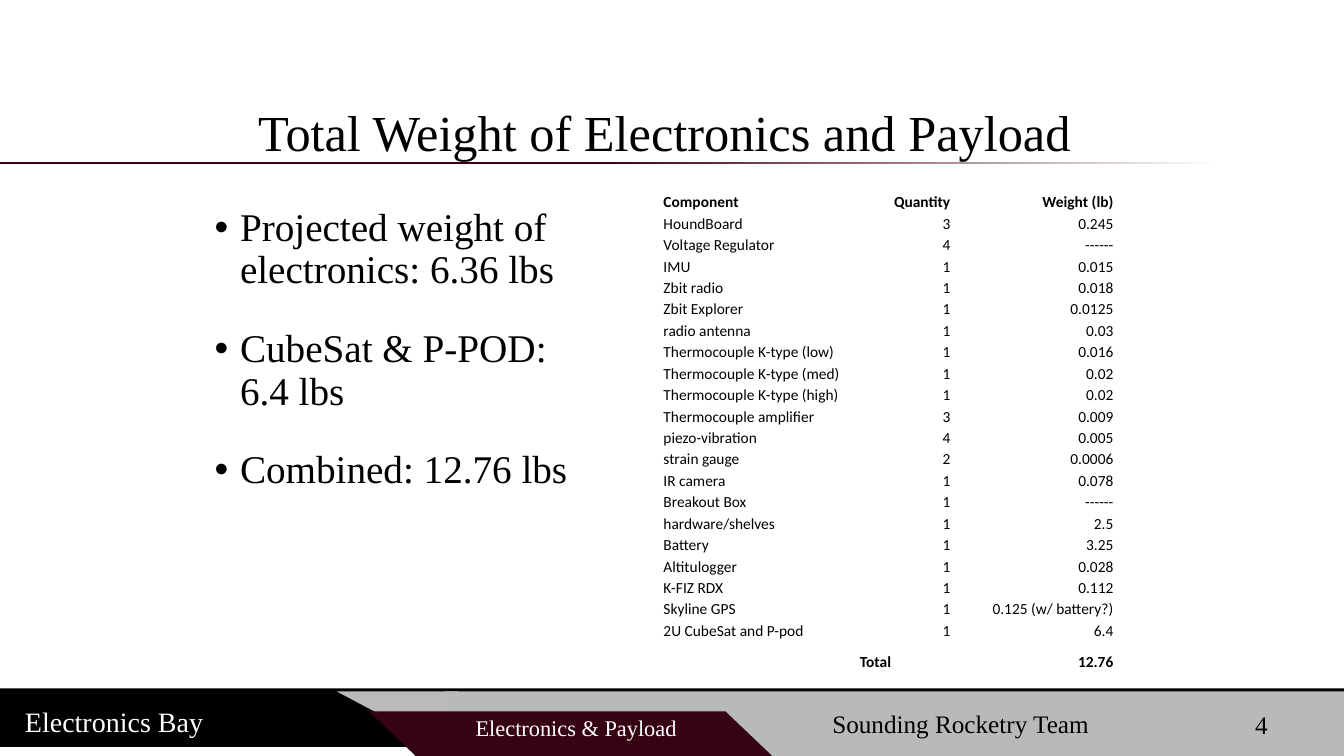
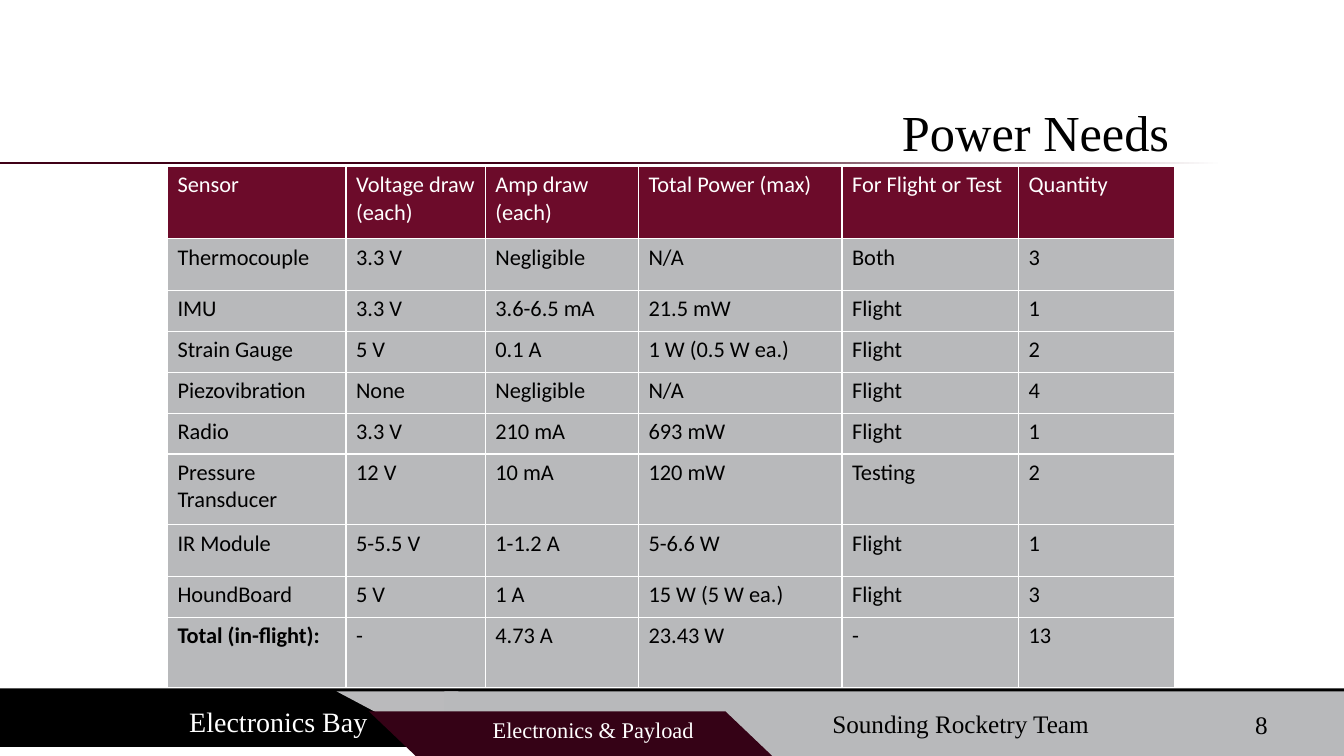
from dataclasses import dataclass

from lxml.etree import SubElement as Sub
from pptx import Presentation
from pptx.dml.color import RGBColor as Rgb
from pptx.enum.shapes import MSO_SHAPE as Form
from pptx.enum.text import MSO_ANCHOR as Anchor, MSO_AUTO_SIZE as Auto, PP_ALIGN as Align
from pptx.oxml.ns import qn
from pptx.util import Cm, Pt


@dataclass(frozen=True)
class Theme:
    """Colours, fonts and type sizes of the deck."""
    black: str = "000000"
    white: str = "FFFFFF"
    grey: str = "B8B9BB"
    edge: str = "BABABC"
    plum: str = "350216"
    wine: str = "6C0B2A"
    rule: str = "3F0017"
    serif: str = "Times New Roman"
    sans: str = "Calibri"
    title: int = 36
    body: int = 28
    bay: int = 20
    team: int = 18
    tab: int = 16
    small: int = 11


@dataclass(frozen=True)
class Box:
    """A rectangle in centimetres."""
    x: float
    y: float
    w: float
    h: float

    def sub(self, x, y, w, h):
        """Return a box placed relative to this one."""
        return Box(self.x + x, self.y + y, w, h)

    def cm(self):
        """Return the four lengths for python-pptx."""
        return [Cm(v) for v in (self.x, self.y, self.w, self.h)]


T = Theme()
PAGE = Box(0, 0, 33.87, 19.05)
HEAD = Box(0, 2.29, 33.87, 2.24)
FOOT = Box(0, 17.35, 33.87, 1.7)

POINTS = ["Projected weight of electronics: 6.36 lbs",
          "CubeSat & P-POD:\v6.4 lbs",
          "Combined: 12.76 lbs"]

PARTS = [
    ("Component", "Quantity", "Weight (lb)"),
    ("HoundBoard", "3", "0.245"),
    ("Voltage Regulator", "4", "------"),
    ("IMU", "1", "0.015"),
    ("Zbit radio", "1", "0.018"),
    ("Zbit Explorer", "1", "0.0125"),
    ("radio antenna", "1", "0.03"),
    ("Thermocouple K-type (low)", "1", "0.016"),
    ("Thermocouple K-type (med)", "1", "0.02"),
    ("Thermocouple K-type (high)", "1", "0.02"),
    ("Thermocouple amplifier", "3", "0.009"),
    ("piezo-vibration", "4", "0.005"),
    ("strain gauge", "2", "0.0006"),
    ("IR camera", "1", "0.078"),
    ("Breakout Box", "1", "------"),
    ("hardware/shelves", "1", "2.5"),
    ("Battery", "1", "3.25"),
    ("Altitulogger", "1", "0.028"),
    ("K-FIZ RDX", "1", "0.112"),
    ("Skyline GPS", "1", "0.125 (w/ battery?)"),
    ("2U CubeSat and P-pod", "1", "6.4"),
    ("", "Total", "12.76"),
]

POWER = [
    ("Sensor", "Voltage draw (each)", "Amp draw (each)", "Total Power (max)",
     "For Flight or Test", "Quantity"),
    ("Thermocouple", "3.3 V", "Negligible", "N/A", "Both", "3"),
    ("IMU", "3.3 V", "3.6-6.5 mA", "21.5 mW", "Flight", "1"),
    ("Strain Gauge", "5 V", "0.1 A", "1 W (0.5 W ea.)", "Flight", "2"),
    ("Piezovibration", "None", "Negligible", "N/A", "Flight", "4"),
    ("Radio", "3.3 V", "210 mA", "693 mW", "Flight", "1"),
    ("Pressure Transducer", "12 V", "10 mA", "120 mW", "Testing", "2"),
    ("IR Module", "5-5.5 V", "1-1.2 A", "5-6.6 W", "Flight", "1"),
    ("HoundBoard", "5 V", "1 A", "15 W (5 W ea.)", "Flight", "3"),
    ("Total (in-flight):", "-", "4.73 A", "23.43 W", "-", "13"),
]


def say(frame, *lines, size, font=T.serif, color=T.black, bold=False,
        align=Align.LEFT, lead=1.0, after=0):
    """Write lines of text as formatted paragraphs."""
    frame.text = "\n".join(lines)
    for para in frame.paragraphs:
        para.alignment, para.line_spacing = align, lead
        para.space_before, para.space_after = Pt(0), Pt(after)
        for run in para.runs:
            run.font.size, run.font.name, run.font.bold = Pt(size), font, bold
            run.font.color.rgb = Rgb.from_string(color)


def label(slide, box, *lines, anchor=Anchor.TOP, **form):
    """Add a wrapped text box and return its frame."""
    frame = slide.shapes.add_textbox(*box.cm()).text_frame
    frame.word_wrap, frame.vertical_anchor = True, anchor
    say(frame, *lines, **form)
    return frame


def block(slide, form, box, color):
    """Add a plain shape without line or shadow."""
    shape = slide.shapes.add_shape(form, *box.cm())
    shape.shadow.inherit = False
    shape.line.fill.background()
    shape.fill.solid()
    shape.fill.fore_color.rgb = Rgb.from_string(color)
    return shape


def head(slide, box, text, right):
    """Place the title, ending at the given right edge, and its fading rule."""
    rule = block(slide, Form.RECTANGLE, box.sub(0, 1.8, box.w, 0.05), T.rule)
    rule.fill.gradient()
    rule.fill.gradient_angle = 0
    for stop, color, place in zip(rule.fill.gradient_stops, (T.rule, T.white), (0.45, 0.91)):
        stop.color.rgb, stop.position = Rgb.from_string(color), place
    title = slide.shapes.title
    title.left, title.top, title.width, title.height = Box(box.x, box.y, right, box.h).cm()
    frame = title.text_frame
    frame.word_wrap, frame.auto_size = True, Auto.NONE
    frame.vertical_anchor = Anchor.MIDDLE
    say(frame, text, size=T.title, align=Align.RIGHT, lead=0.9)


def foot(slide, box, num, bay, unit):
    """Draw the footer bands with their labels; bay and unit are label boxes."""
    block(slide, Form.RECTANGLE, box.sub(0, 0, box.w, 1.47), T.black)
    wedge = block(slide, Form.RIGHT_TRIANGLE, box.sub(8.48, 0.07, 3.07, 1.63), T.edge)
    wedge.rotation = 180
    block(slide, Form.RECTANGLE, box.sub(11.2, 0.07, 22.67, 1.63), T.grey)
    tab = block(slide, Form.PARALLELOGRAM, box.sub(9.3, 0.58, 10.16, 1.12), T.plum)
    tab.adjustments[0] = 1.05
    tab.element.spPr.find(qn("a:xfrm")).set("flipV", "1")
    label(slide, box.sub(29.74, 0.33, 2.46, 1.14), num, size=T.team,
          align=Align.RIGHT, anchor=Anchor.MIDDLE)
    label(slide, box.sub(18.85, 0.38, 10.72, 1.02), "Sounding Rocketry Team",
          size=T.team, align=Align.CENTER, anchor=Anchor.MIDDLE)
    label(slide, box.sub(*bay), "Electronics Bay", size=T.bay, color=T.white, lead=0.9)
    label(slide, box.sub(*unit), "Electronics & Payload", size=T.tab, color=T.white,
          align=Align.CENTER, lead=0.9)


def points(slide, box, lines):
    """Add the bulleted list."""
    frame = label(slide, box, *lines, size=T.body, lead=0.9, after=26)
    for para in frame.paragraphs:
        props = para._p.get_or_add_pPr()
        props.set("marL", str(Cm(0.64)))
        props.set("indent", str(Cm(-0.64)))
        Sub(props, qn("a:buFont"), typeface="Arial")
        Sub(props, qn("a:buChar"), char="•")


def grid(slide, box, cols, rows, data):
    """Add an unbanded table and yield each cell with its row, column and text."""
    table = slide.shapes.add_table(len(rows), len(cols), *box.cm()).table
    table.first_row = table.horz_banding = False
    for col, width in zip(table.columns, cols):
        col.width = Cm(width)
    for row, height in zip(table.rows, rows):
        row.height = Cm(height)
    for r, line in enumerate(data):
        for c, text in enumerate(line):
            yield table.cell(r, c), r, c, text


def border(cell, color):
    """Draw one-point lines on all sides of a cell."""
    props = cell._tc.get_or_add_tcPr()
    for i, side in enumerate(("lnL", "lnR", "lnT", "lnB")):
        line = Sub(props, qn("a:" + side), w=str(Pt(1)))
        Sub(Sub(line, qn("a:solidFill")), qn("a:srgbClr"), val=color)
        props.insert(i, line)


def weights(slide, box):
    """Add the table of component weights."""
    rows = [0.54] * (len(PARTS) - 1) + [0.5]
    for cell, r, c, text in grid(slide, box, [4.95, 2.34, 4.11], rows, PARTS):
        cell.fill.background()
        cell.vertical_anchor = Anchor.BOTTOM
        cell.margin_left = cell.margin_right = cell.margin_top = Cm(0.03)
        cell.margin_bottom = 0
        last = r == len(PARTS) - 1
        left = c == 0 or (last and c == 1)
        say(cell.text_frame, text, size=T.small, font=T.sans, bold=r == 0 or last,
            align=Align.LEFT if left else Align.RIGHT)


def needs(slide, box):
    """Add the table of power needs."""
    cols = [4.5, 3.51, 3.86, 5.13, 4.45, 3.94]
    rows = [1.83, 1.3] + [1.03] * 4 + [1.78, 1.3, 1.03, 1.78]
    for cell, r, c, text in grid(slide, box, cols, rows, POWER):
        cell.fill.solid()
        cell.fill.fore_color.rgb = Rgb.from_string(T.grey if r else T.wine)
        border(cell, T.white)
        say(cell.text_frame, text, size=T.tab, font=T.sans,
            color=T.black if r else T.white, bold=c == 0 and r == len(POWER) - 1)


def weigh(slide):
    """Build the weight slide."""
    head(slide, HEAD, "Total Weight of Electronics and Payload", 27.25)
    foot(slide, FOOT, "4", (0.38, 0.38, 7.65, 1.07), (10.39, 0.61, 8.26, 1.07))
    points(slide, PAGE.sub(5.16, 5.11, 11.43, 8.13), POINTS)
    weights(slide, PAGE.sub(16.69, 4.8, 11.4, 11.84))


def power(slide):
    """Build the power slide."""
    head(slide, HEAD, "Power Needs", 29.72)
    foot(slide, FOOT, "8", (4.52, 0.38, 6.22, 1.07), (11.94, 0.66, 6.02, 1.04))
    needs(slide, PAGE.sub(4.22, 4.19, 25.39, 13.14))


def main():
    """Build and save the deck."""
    deck = Presentation()
    deck.slide_width, deck.slide_height = Cm(PAGE.w), Cm(PAGE.h)
    for build in (weigh, power):
        build(deck.slides.add_slide(deck.slide_layouts[5]))
    deck.save("out.pptx")


if __name__ == "__main__":
    main()
